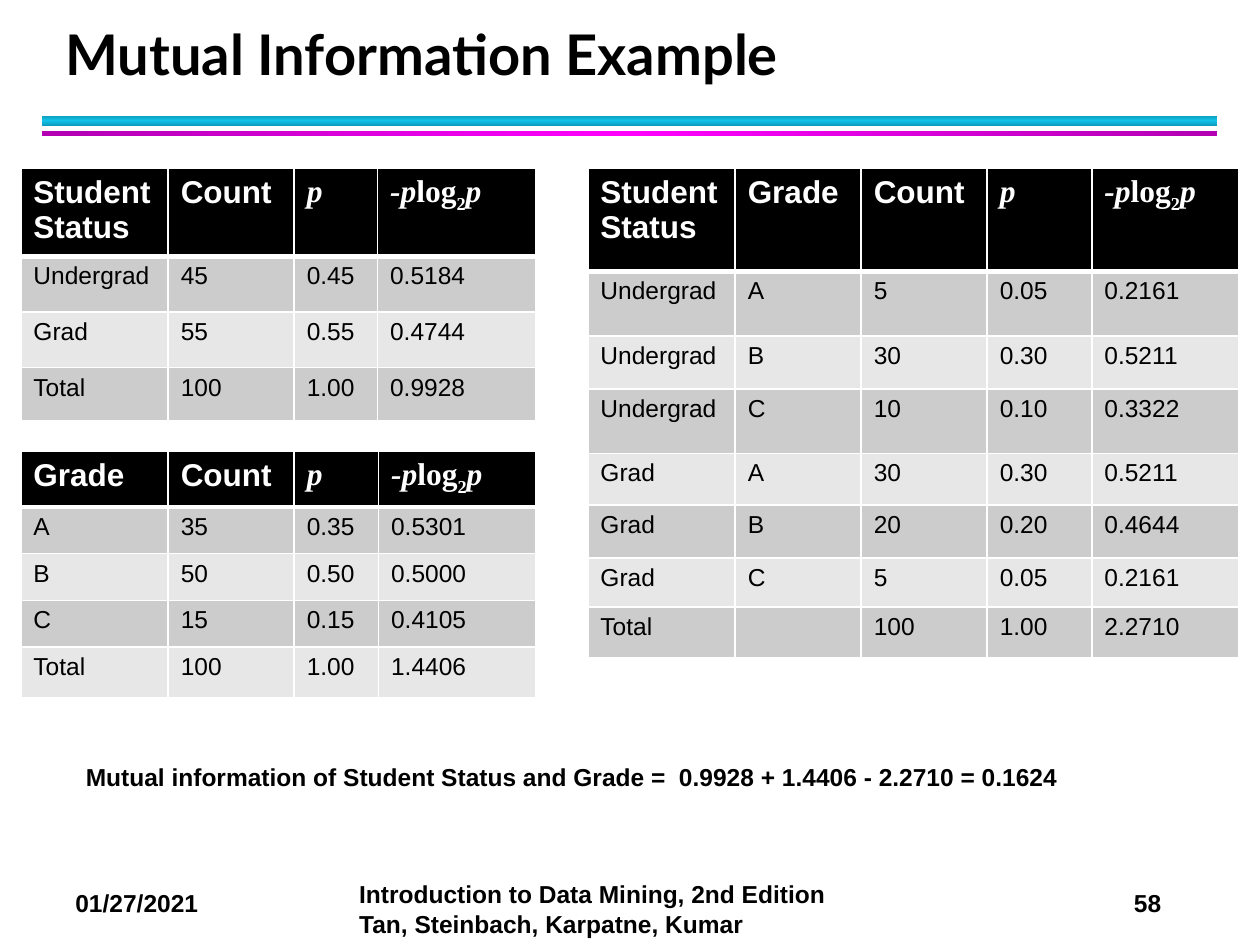
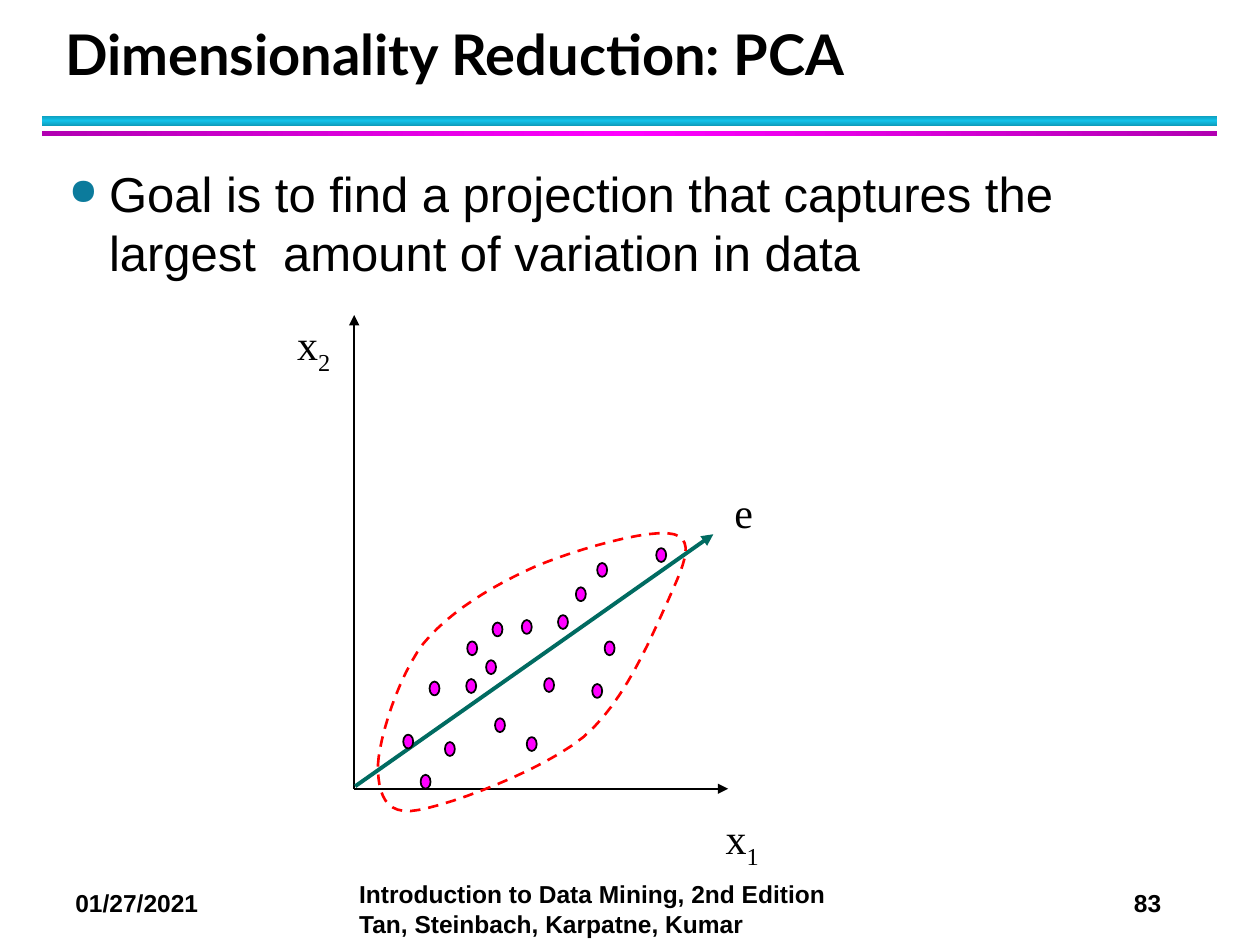
import dataclasses
import itertools
import typing

import lxml.etree
import pptx
import pptx.chart.data
import pptx.dml.color
import pptx.enum.dml
import pptx.enum.shapes
import pptx.enum.text
import pptx.oxml.ns
import pptx.util

Cm = pptx.util.Cm
Pt = pptx.util.Pt
qn = pptx.oxml.ns.qn
ALIGN = pptx.enum.text.PP_ALIGN
ANCHOR = pptx.enum.text.MSO_ANCHOR
SHAPE = pptx.enum.shapes.MSO_SHAPE

BLACK, WHITE, MAGENTA = "000000", "FFFFFF", "FF00FF"
BULLET_BLUE, AXIS_GREEN, OUTLINE_RED = "0C7B9C", "006B61", "FF0000"
ROW_FILLS = ("CCCCCC", "E7E7E7")
TITLE_ONLY = 5
SERIF = "Times New Roman"

TITLE_FONT = {"name": "Lato", "size": Pt(32), "bold": True}
NOTE_FONT = {"name": "Arial", "size": Pt(14), "bold": True}
CELL_FONT = {"name": "Arial", "size": Pt(14), "bold": False}
HEADER_FONT = {"name": "Arial", "size": Pt(18), "bold": True}
GOAL_FONT = {"name": "Arial", "size": Pt(28)}
LABEL_FONT = {"name": SERIF, "size": Pt(24)}


class Box(typing.NamedTuple):
    left: float
    top: float
    width: float
    height: float

    def lengths(self) -> list:
        return [Cm(value) for value in self]


class Piece(typing.NamedTuple):
    text: str
    font: dict = {}
    subscript: bool = False


@dataclasses.dataclass(frozen=True)
class Band:
    box: Box
    edge: str
    middle: str
    angle: int


@dataclasses.dataclass(frozen=True)
class EntropyTable:
    left: float
    top: float
    columns: tuple
    heights: tuple
    header: tuple
    rows: tuple


@dataclasses.dataclass(frozen=True)
class Arrow:
    start: tuple
    end: tuple
    color: str
    weight: float


@dataclasses.dataclass(frozen=True)
class Label:
    box: Box
    pieces: tuple


BANDS = (
    Band(Box(0.84, 2.33, 23.7, 0.21), "0E9BBA", "12C2E9", 90),
    Band(Box(0.84, 2.64, 23.7, 0.1), "B200B2", MAGENTA, 0),
)

MATH = {"name": SERIF, "italic": True}
UPRIGHT = {"name": SERIF}
PROBABILITY = (Piece("p", MATH),)
ENTROPY = (Piece("-p", MATH), Piece("log", UPRIGHT),
           Piece("2", UPRIGHT, True), Piece("p", MATH))
STATUS, GRADE, COUNT = ((Piece(name),) for name in ("Student Status", "Grade", "Count"))

TABLES = (
    EntropyTable(
        0.42, 3.39, (2.97, 2.54, 1.68, 3.2), (1.68, 1.12, 1.12, 1.07),
        (STATUS, COUNT, PROBABILITY, ENTROPY),
        (("Undergrad", "45", "0.45", "0.5184"),
         ("Grad", "55", "0.55", "0.4744"),
         ("Total", "100", "1.00", "0.9928"))),
    EntropyTable(
        0.42, 9.1, (2.97, 2.54, 1.7, 3.18), (1.07, 0.94, 0.94, 0.94, 1.02),
        (GRADE, COUNT, PROBABILITY, ENTROPY),
        (("A", "35", "0.35", "0.5301"),
         ("B", "50", "0.50", "0.5000"),
         ("C", "15", "0.15", "0.4105"),
         ("Total", "100", "1.00", "1.4406"))),
    EntropyTable(
        11.85, 3.39, (2.97, 2.54, 2.54, 2.11, 2.97),
        (2.08, 1.3, 1.07, 1.3, 1.04, 1.07, 0.99, 0.99),
        (STATUS, GRADE, COUNT, PROBABILITY, ENTROPY),
        (("Undergrad", "A", "5", "0.05", "0.2161"),
         ("Undergrad", "B", "30", "0.30", "0.5211"),
         ("Undergrad", "C", "10", "0.10", "0.3322"),
         ("Grad", "A", "30", "0.30", "0.5211"),
         ("Grad", "B", "20", "0.20", "0.4644"),
         ("Grad", "C", "5", "0.05", "0.2161"),
         ("Total", "", "100", "1.00", "2.2710"))),
)

ORIGIN = (7.14, 15.9)
ARROWS = (
    Arrow(ORIGIN, (7.14, 6.35), BLACK, 1),
    Arrow(ORIGIN, (14.68, 15.9), BLACK, 1),
    Arrow((7.16, 15.85), (14.38, 10.77), AXIS_GREEN, 2.25),
)
DOT_SIZE = (0.2, 0.28)
DOTS = (
    (8.66, 13.74), (9.42, 12.93), (8.13, 14.81), (9.8, 13.31), (9.4, 13.69),
    (10.97, 13.67), (10.62, 14.86), (9.98, 14.48), (10.52, 12.5),
    (12.19, 12.93), (13.23, 11.05), (8.97, 14.96), (11.25, 12.4),
    (12.04, 11.35), (9.93, 12.55), (11.61, 11.84), (11.94, 13.79), (8.48, 15.62),
)
CLOUD_START = (7.62, 15.42)
CLOUD_CURVES = (
    ((7.65, 14.86), (8.03, 13.64), (8.53, 12.98)),
    ((9.07, 12.32), (9.93, 11.81), (10.77, 11.43)),
    ((11.61, 11.07), (13.13, 10.64), (13.59, 10.77)),
    ((14.05, 10.9), (13.74, 11.48), (13.44, 12.17)),
    ((13.13, 12.83), (12.6, 14.15), (11.76, 14.86)),
    ((10.92, 15.54), (9.12, 16.21), (8.43, 16.33)),
    ((7.75, 16.46), (7.62, 15.98), CLOUD_START),
)
CURVE_STEPS = 12
LABELS = (
    Label(Box(5.74, 6.3, 1.17, 1.4), (Piece("x"), Piece("2", subscript=True))),
    Label(Box(14.38, 16.26, 1.17, 1.4), (Piece("x"), Piece("1", subscript=True))),
    Label(Box(14.55, 9.68, 0.89, 1.27), (Piece("e"),)),
)


def rgb(color: str) -> pptx.dml.color.RGBColor:
    return pptx.dml.color.RGBColor.from_string(color)


def apply_format(target: typing.Any, values: dict) -> None:
    for name, value in values.items():
        setattr(target, name, value)


def add_element(parent: typing.Any, tag: str, **attributes: str) -> typing.Any:
    return lxml.etree.SubElement(parent, qn(tag), attributes)


def write(paragraph: typing.Any, pieces: tuple, font: dict, color: str = BLACK) -> None:
    for piece in pieces:
        run = paragraph.add_run()
        run.text = piece.text
        apply_format(run.font, {**font, **piece.font})
        run.font.color.rgb = rgb(color)
        if piece.subscript:
            run.font._element.set("baseline", "-25000")


def add_text(slide: typing.Any, box: Box, pieces: tuple, font: dict,
             **frame_format: typing.Any) -> typing.Any:
    frame = slide.shapes.add_textbox(*box.lengths()).text_frame
    apply_format(frame, {"word_wrap": True, **frame_format})
    paragraph = frame.paragraphs[0]
    write(paragraph, pieces, font)
    return paragraph


def add_band(slide: typing.Any, band: Band) -> None:
    shape = slide.shapes.add_shape(SHAPE.RECTANGLE, *band.box.lengths())
    shape.shadow.inherit = False
    shape.line.fill.background()
    shape.fill.gradient()
    shape.fill.gradient_angle = band.angle
    stops = shape._element.spPr.find(".//" + qn("a:gsLst"))
    add_element(add_element(stops, "a:gs", pos="100000"), "a:srgbClr", val=band.edge)
    colors = (band.edge, band.middle, band.edge)
    for stop, color, position in zip(shape.fill.gradient_stops, colors, (0, 0.5, 1)):
        stop.color.rgb = rgb(color)
        stop.position = position


def add_slide(presentation: typing.Any, title: str, number: str) -> typing.Any:
    slide = presentation.slides.add_slide(presentation.slide_layouts[TITLE_ONLY])
    for band in BANDS:
        add_band(slide, band)
    placeholder = slide.shapes.title
    apply_format(placeholder, dict(zip(("left", "top", "width", "height"),
                                       Box(1.06, 0.42, 23.02, 1.46).lengths())))
    apply_format(placeholder.text_frame, {
        "vertical_anchor": ANCHOR.BOTTOM, "word_wrap": True,
        "auto_size": pptx.enum.text.MSO_AUTO_SIZE.NONE})
    paragraph = placeholder.text_frame.paragraphs[0]
    apply_format(paragraph, {"alignment": ALIGN.LEFT, "line_spacing": Pt(36)})
    write(paragraph, (Piece(title),), TITLE_FONT)
    footers = (
        (Box(1.27, 17.78, 3.38, 0.84), "01/27/2021"),
        (Box(22.61, 17.78, 2.79, 0.84), number),
        (Box(6.99, 17.6, 10.36, 1.42),
         "Introduction to Data Mining, 2nd Edition Tan, Steinbach, Karpatne, Kumar"),
    )
    for box, text in footers:
        add_text(slide, box, (Piece(text),), NOTE_FONT)
    return slide


def add_borders(cell: typing.Any, bottom: float) -> None:
    properties = cell._tc.get_or_add_tcPr()
    sides = {"a:lnL": 0.96, "a:lnR": 0.96, "a:lnT": 0.96, "a:lnB": bottom}
    for index, (tag, weight) in enumerate(sides.items()):
        line = add_element(properties, tag, w=str(Pt(weight)))
        add_element(add_element(line, "a:solidFill"), "a:srgbClr", val=WHITE)
        properties.insert(index, line)


def add_entropy_table(slide: typing.Any, spec_table: EntropyTable) -> None:
    box = Box(spec_table.left, spec_table.top, sum(spec_table.columns), sum(spec_table.heights))
    table = slide.shapes.add_table(
        len(spec_table.heights), len(spec_table.columns), *box.lengths()).table
    for column, width in zip(table.columns, spec_table.columns):
        column.width = Cm(width)
    body = [[(Piece(text),) if text else () for text in row] for row in spec_table.rows]
    for index, contents in enumerate([spec_table.header, *body]):
        table.rows[index].height = Cm(spec_table.heights[index])
        is_header = index == 0
        for cell, pieces in zip(table.rows[index].cells, contents):
            cell.fill.solid()
            cell.fill.fore_color.rgb = rgb(BLACK if is_header else ROW_FILLS[(index - 1) % 2])
            add_borders(cell, 3 if is_header else 0.96)
            write(cell.text_frame.paragraphs[0], pieces,
                  HEADER_FONT if is_header else CELL_FONT, WHITE if is_header else BLACK)


def add_arrow(slide: typing.Any, arrow: Arrow) -> None:
    ends = [Cm(value) for value in (*arrow.start, *arrow.end)]
    connector = slide.shapes.add_connector(pptx.enum.shapes.MSO_CONNECTOR.STRAIGHT, *ends)
    connector.line.color.rgb = rgb(arrow.color)
    connector.line.width = Pt(arrow.weight)
    add_element(connector.line._get_or_add_ln(), "a:tailEnd", type="triangle")
    add_element(connector._element.spPr, "a:effectLst")


def add_dot(slide: typing.Any, position: tuple) -> None:
    dot = slide.shapes.add_shape(SHAPE.OVAL, *Box(*position, *DOT_SIZE).lengths())
    dot.shadow.inherit = False
    dot.fill.solid()
    dot.fill.fore_color.rgb = rgb(MAGENTA)
    dot.line.color.rgb = rgb(BLACK)
    dot.line.width = Pt(1)


def curve_points(start: tuple, controls: tuple) -> list:
    points = []
    for step in range(1, CURVE_STEPS + 1):
        t = step / CURVE_STEPS
        weights = ((1 - t) ** 3, 3 * t * (1 - t) ** 2, 3 * t ** 2 * (1 - t), t ** 3)
        points.append(tuple(Cm(sum(weight * value for weight, value in zip(weights, values)))
                            for values in zip(start, *controls)))
    return points


def add_cloud_outline(slide: typing.Any) -> None:
    starts = [CLOUD_START, *(controls[-1] for controls in CLOUD_CURVES[:-1])]
    points = itertools.chain.from_iterable(map(curve_points, starts, CLOUD_CURVES))
    builder = slide.shapes.build_freeform(*[Cm(value) for value in CLOUD_START])
    builder.add_line_segments(list(points), close=True)
    outline = builder.convert_to_shape()
    outline.shadow.inherit = False
    outline.fill.background()
    outline.line.color.rgb = rgb(OUTLINE_RED)
    apply_format(outline.line, {"width": Pt(1.5),
                                "dash_style": pptx.enum.dml.MSO_LINE.DASH})


def add_bullet(paragraph: typing.Any) -> None:
    properties = paragraph._p.get_or_add_pPr()
    indent = Cm(0.81)
    properties.set("marL", str(indent))
    properties.set("indent", str(-indent))
    add_element(add_element(properties, "a:buClr"), "a:srgbClr", val=BULLET_BLUE)
    add_element(properties, "a:buSzPct", val="75000")
    add_element(properties, "a:buChar", char="●")


def build_mutual_information(presentation: typing.Any) -> None:
    slide = add_slide(presentation, "Mutual Information Example", "58")
    for table in TABLES:
        add_entropy_table(slide, table)
    result = "Mutual information of Student Status and Grade =  0.9928 + 1.4406 - 2.2710 = 0.1624"
    add_text(slide, Box(1.48, 15.24, 22.23, 0.84), (Piece(result),), NOTE_FONT)


def build_pca(presentation: typing.Any) -> None:
    slide = add_slide(presentation, "Dimensionality Reduction: PCA", "83")
    goal = "Goal is to find a projection that captures the largest  amount of variation in data"
    add_bullet(add_text(slide, Box(1.14, 3.18, 23.11, 14.4), (Piece(goal),), GOAL_FONT))
    for arrow in ARROWS:
        add_arrow(slide, arrow)
    add_cloud_outline(slide)
    for position in DOTS:
        add_dot(slide, position)
    for label in LABELS:
        paragraph = add_text(slide, label.box, label.pieces, LABEL_FONT,
                             word_wrap=False, vertical_anchor=ANCHOR.MIDDLE)
        paragraph.alignment = ALIGN.CENTER


def main() -> None:
    presentation = pptx.Presentation()
    apply_format(presentation, {"slide_width": Cm(25.4), "slide_height": Cm(19.05)})
    build_mutual_information(presentation)
    build_pca(presentation)
    presentation.save("out.pptx")


if __name__ == "__main__":
    main()
